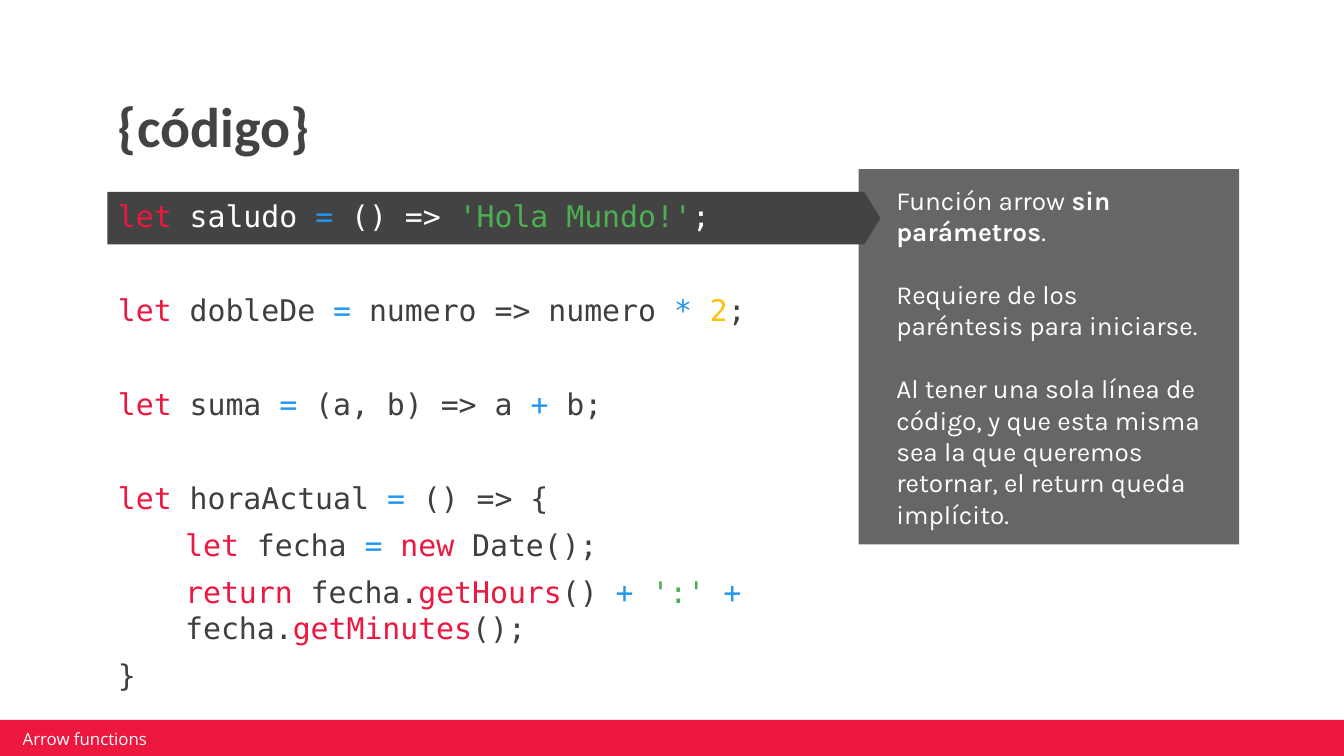
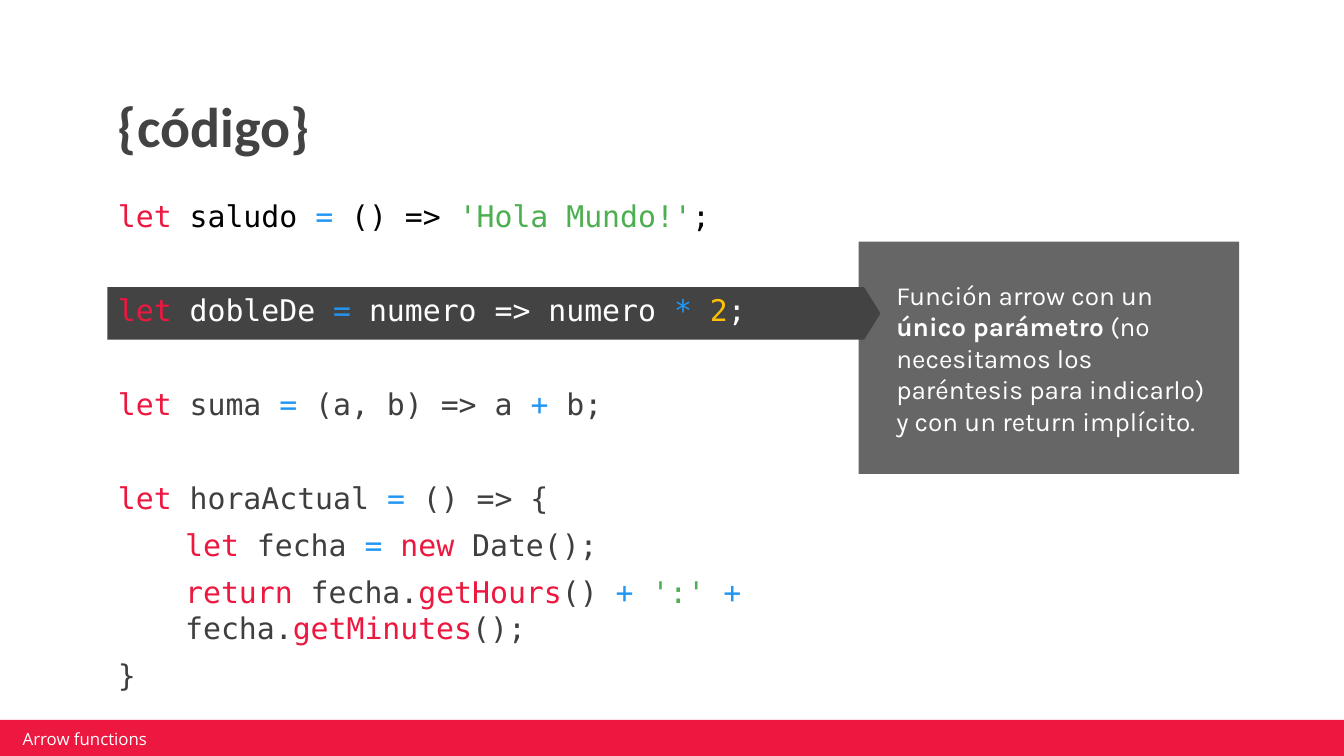
import lxml.etree
import pptx
import pptx.dml.color
import pptx.enum.shapes
import pptx.enum.text
import pptx.oxml.ns
import pptx.util

Cm, Pt = pptx.util.Cm, pptx.util.Pt
KIND = pptx.enum.shapes.MSO_SHAPE
ANCHOR = pptx.enum.text.MSO_ANCHOR

HUES = {
    "red": "EC183F", "blue": "2196F3", "green": "4CAF50", "gold": "FFC107",
    "ink": "3F3F3F", "dark": "434343", "grey": "666666",
    "white": "FFFFFF", "black": "000000",
}

# Code: "|" parts the tokens; each row is (indent in cm, space before in pt, text)
STEP, GAP = 6, 31.2
CODE = [
    (0, STEP, "let| saludo |=| () => |'Hola Mundo!'|;"),
    (0, GAP, "let| dobleDe |=| numero => numero |* |2|;"),
    (0, GAP, "let| suma |=| (a, b) => a |+| b;"),
    (0, GAP, "let| horaActual |=| () => {"),
    (1.27, STEP, "let| fecha |= |new| Date();"),
    (1.27, STEP, "return| fecha.|getHours|() |+ |':' |+| fecha.|getMinutes|();"),
    (0, STEP, "}"),
]
TOKENS = {
    "red": ["let", "new", "return", "getHours", "getMinutes"],
    "blue": ["=", "*", "+"],
    "green": ["'Hola Mundo!'", "':'"],
    "gold": ["2"],
}
SYNTAX = {word: hue for hue, words in TOKENS.items() for word in words}


class Deck:
    def __init__(self):
        self.prs = pptx.Presentation()
        self.prs.slide_width = Cm(25.4)
        self.prs.slide_height = Cm(14.29)
        self.slide = None

    def start(self):
        self.slide = self.prs.slides.add_slide(self.prs.slide_layouts[1])

    # Shared helpers
    def place(self, shape, box):
        shape.left, shape.top, shape.width, shape.height = map(Cm, box)

    def frame(self, shape, anchor, pads):
        frame = shape.text_frame
        frame.word_wrap = True
        frame.auto_size = pptx.enum.text.MSO_AUTO_SIZE.NONE
        frame.vertical_anchor = anchor
        (frame.margin_left, frame.margin_top,
         frame.margin_right, frame.margin_bottom) = map(Cm, pads)
        return frame

    def style(self, run, face, size, hue, bold=False):
        font = run.font
        font.name, font.size, font.bold = face, Pt(size), bold
        font.color.rgb = pptx.dml.color.RGBColor.from_string(HUES[hue])

    def lines(self, frame, count):
        for _ in range(count - 1):
            frame.add_paragraph()
        for para in frame.paragraphs:
            para.alignment = pptx.enum.text.PP_ALIGN.LEFT
        return frame.paragraphs

    def block(self, kind, box, hue):
        shape = self.slide.shapes.add_shape(kind, *map(Cm, box))
        shape.shadow.inherit = False
        shape.fill.solid()
        shape.fill.fore_color.rgb = pptx.dml.color.RGBColor.from_string(HUES[hue])
        shape.line.fill.background()
        return shape

    # Slide elements
    def title(self, text):
        shape = self.slide.shapes.title
        self.place(shape, (1.98, 1.52, 21.41, 1.75))
        frame = self.frame(shape, ANCHOR.BOTTOM, [0.25] * 4)
        frame.text = text
        para = self.lines(frame, 1)[0]
        para.line_spacing = 0.9
        self.style(para.runs[0], "Calibri", 30, "dark", True)

    def note(self, top, height, texts):
        """Callout; "*" switches bold on and off."""
        shape = self.block(KIND.RECTANGLE, (16.23, top, 7.19, height), "grey")
        frame = self.frame(shape, ANCHOR.MIDDLE, (0.71, 0, 0.64, 0))
        for i, para in enumerate(self.lines(frame, len(texts))):
            para.space_before = Pt(16.8 if i else 0)
            for j, part in enumerate(texts[i].split("*")):
                run = para.add_run()
                run.text = part
                self.style(run, "Karla", 14, "white", j % 2 == 1)

    def arrow(self, row):
        box = (2.03, 3.63 + 1.8 * row, 14.61, 0.99)
        shape = self.block(KIND.RIGHT_ARROW, box, "dark")
        shape.adjustments[0] = 1
        shape.adjustments[1] = 0.31

    def code(self, plain):
        """Code list; plain gives the plain-text hue of special rows."""
        shape = self.slide.placeholders[1]
        self.place(shape, (1.98, 3.68, 14.12, 9.45))
        self.slide.shapes._spTree.append(shape._element)  # above the arrow
        frame = self.frame(shape, ANCHOR.MIDDLE, [0.25] * 4)
        paras = self.lines(frame, len(CODE))
        for i, (para, (indent, space, text)) in enumerate(zip(paras, CODE)):
            para.space_before = Pt(space)
            props = para._p.get_or_add_pPr()
            props.set("marL", str(Cm(indent)))
            props.set("indent", "0")
            lxml.etree.SubElement(props, pptx.oxml.ns.qn("a:buNone"))
            for token in text.split("|"):
                run = para.add_run()
                run.text = token
                hue = SYNTAX.get(token.strip(), plain.get(i, "ink"))
                self.style(run, "DejaVu Sans Mono", 16, hue)

    def footer(self, text):
        self.block(KIND.RECTANGLE, (-0.05, 13.61, 25.48, 0.69), "red")
        box = map(Cm, (0.3, 13.77, 6.07, 0.38))
        shape = self.slide.shapes.add_textbox(*box)
        frame = self.frame(shape, ANCHOR.MIDDLE, (0.13, 0.05, 0.13, 0.05))
        frame.text = text
        self.style(frame.paragraphs[0].runs[0], "Open Sans", 9, "white")


# Per slide: marked row, plain hues, callout top, height and texts
PAGES = [
    (0, {0: "white"}, 3.2, 7.09, [
        "Función arrow *sin parámetros*.",
        "Requiere de los paréntesis para iniciarse.",
        "Al tener una sola línea de código, y que esta misma sea la que "
        "queremos retornar, el return queda implícito.",
    ]),
    (1, {0: "black", 1: "white"}, 4.57, 4.39, [
        "Función arrow con un *único parámetro* (no necesitamos los "
        "paréntesis para indicarlo) y con un return implícito.",
    ]),
]


def main():
    deck = Deck()
    for row, plain, top, height, texts in PAGES:
        deck.start()
        deck.title("{código}")
        deck.note(top, height, texts)
        deck.arrow(row)
        deck.code(plain)
        deck.footer("Arrow functions")
    deck.prs.save("out.pptx")


if __name__ == "__main__":
    main()
